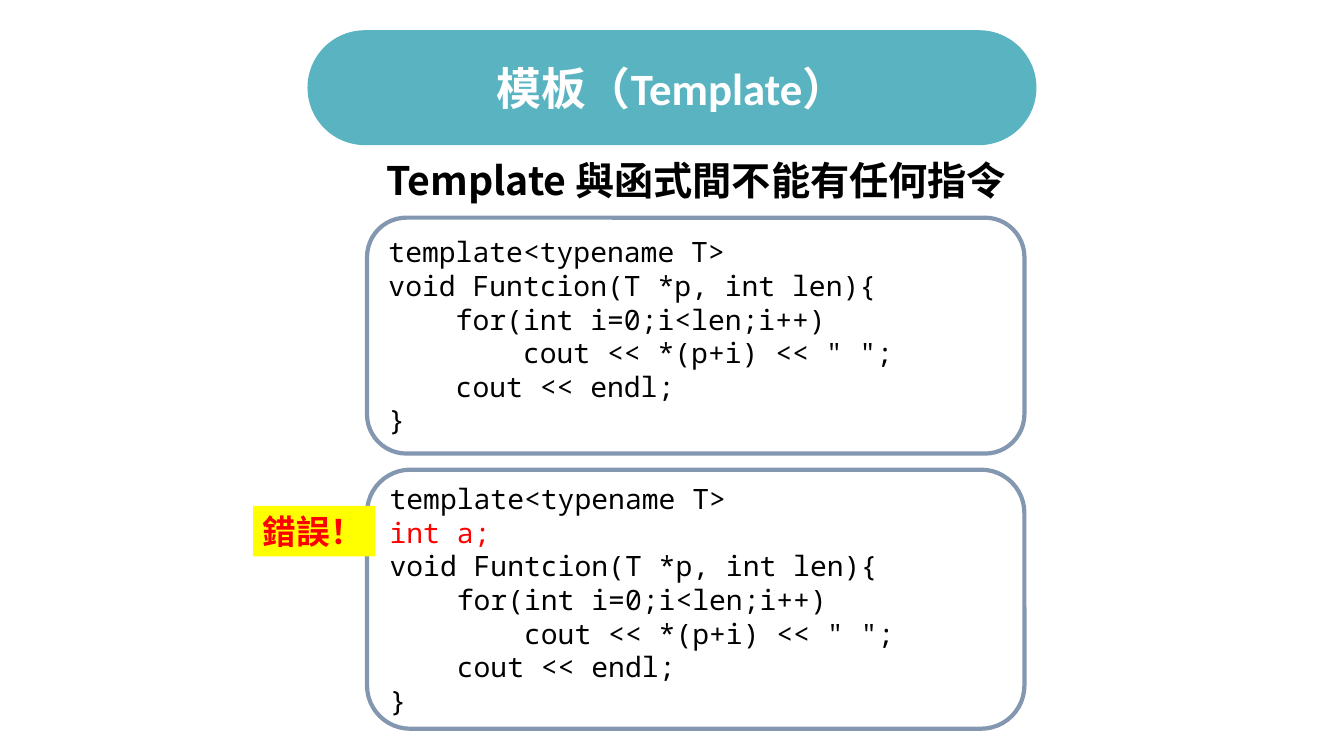
from lxml import etree
from pptx import Presentation
from pptx.dml.color import RGBColor
from pptx.enum.shapes import MSO_SHAPE
from pptx.enum.text import MSO_ANCHOR, MSO_AUTO_SIZE, PP_ALIGN
from pptx.oxml.ns import qn
from pptx.util import Inches, Pt

RECTANGLE, ROUNDED = MSO_SHAPE.RECTANGLE, MSO_SHAPE.ROUNDED_RECTANGLE
MIDDLE, TOP = MSO_ANCHOR.MIDDLE, MSO_ANCHOR.TOP
FIT_TEXT = MSO_AUTO_SIZE.SHAPE_TO_FIT_TEXT
LEFT, CENTER = PP_ALIGN.LEFT, PP_ALIGN.CENTER

TEAL = RGBColor(0x59, 0xB3, 0xC0)
SLATE = RGBColor(0x84, 0x97, 0xB0)
YELLOW = RGBColor(0xFF, 0xFF, 0x00)
RED = RGBColor(0xFF, 0x00, 0x00)
BLACK = RGBColor(0x00, 0x00, 0x00)
WHITE = RGBColor(0xFF, 0xFF, 0xFF)

SANS_SC, SANS_TC, MONO = "Noto Sans CJK SC", "Noto Sans CJK TC", "Noto Sans Mono"
TITLE = {"name": "Calibri", "size": Pt(32), "bold": True}
HEADING = {"name": SANS_TC, "size": Pt(28), "bold": True}
CODE = {"name": MONO, "size": Pt(20)}
LABEL = {"name": SANS_SC, "size": Pt(24), "bold": True}

TEMPLATE_LINE = "template<typename T>"
WRONG_LINE = "int a;"
FUNCTION_LINES = [
    "void Funtcion(T *p, int len){",
    "    for(int i=0;i<len;i++)",
    '        cout << *(p+i) << " ";',
    "    cout << endl;",
    "}",
]


def write_line(paragraph, text, font_format, color, alignment=LEFT, east_asian=None):
    """Write one formatted line into a paragraph."""
    paragraph.alignment = alignment
    run = paragraph.add_run()
    run.text = text
    for attribute, value in font_format.items():
        setattr(run.font, attribute, value)
    run.font.color.rgb = color
    typeface = east_asian or font_format["name"]
    etree.SubElement(run.font._element, qn("a:ea"), typeface=typeface)


def add_panel(slide, kind, box, fill=None, line=None):
    """Add a flat preset shape with an optional fill and outline."""
    shape = slide.shapes.add_shape(kind, *map(Inches, box))
    shape.shadow.inherit = False
    if fill is None:
        shape.fill.background()
    else:
        shape.fill.solid()
        shape.fill.fore_color.rgb = fill
    if line is None:
        shape.line.fill.background()
    else:
        shape.line.color.rgb = line
        shape.line.width = Pt(3)
    shape.text_frame.vertical_anchor = MIDDLE
    return shape


def add_banner(slide, text):
    """Add the pill-shaped title."""
    banner = add_panel(slide, ROUNDED, (3.05, 0.3, 7.23, 1.14), fill=TEAL)
    banner.adjustments[0] = 0.5
    write_line(banner.text_frame.paragraphs[0], text, TITLE, WHITE, CENTER, SANS_SC)


def add_heading(slide, text):
    """Add the rule stated above the code."""
    heading = slide.shapes.add_textbox(*map(Inches, (1.53, 1.5, 10.75, 0.7)))
    frame = heading.text_frame
    frame.word_wrap = True
    frame.vertical_anchor = TOP
    write_line(frame.paragraphs[0], text, HEADING, BLACK, CENTER)


def add_code(slide, top, height, lines):
    """Add a rounded frame of code, with the wrong line in red."""
    frame = add_panel(slide, ROUNDED, (3.64, top, 6.52, height), line=SLATE).text_frame
    for index, line in enumerate(lines):
        paragraph = frame.add_paragraph() if index else frame.paragraphs[0]
        write_line(paragraph, line, CODE, RED if line == WRONG_LINE else BLACK)


def add_label(slide, text):
    """Add the highlighted error label."""
    frame = add_panel(slide, RECTANGLE, (2.51, 5.02, 1.21, 0.5), fill=YELLOW).text_frame
    frame.word_wrap = False
    frame.auto_size = FIT_TEXT
    frame.vertical_anchor = TOP
    write_line(frame.paragraphs[0], text, LABEL, RED)


def main():
    """Build and save the slide."""
    presentation = Presentation()
    presentation.slide_width = Inches(13.33)
    presentation.slide_height = Inches(7.5)
    slide = presentation.slides.add_slide(presentation.slide_layouts[6])
    add_banner(slide, "模板（Template）")
    add_code(slide, 2.16, 2.34, [TEMPLATE_LINE, *FUNCTION_LINES])
    add_code(slide, 4.66, 2.57, [TEMPLATE_LINE, WRONG_LINE, *FUNCTION_LINES])
    add_label(slide, "錯誤！")
    add_heading(slide, "Template 與函式間不能有任何指令")
    presentation.save("out.pptx")


if __name__ == "__main__":
    main()
